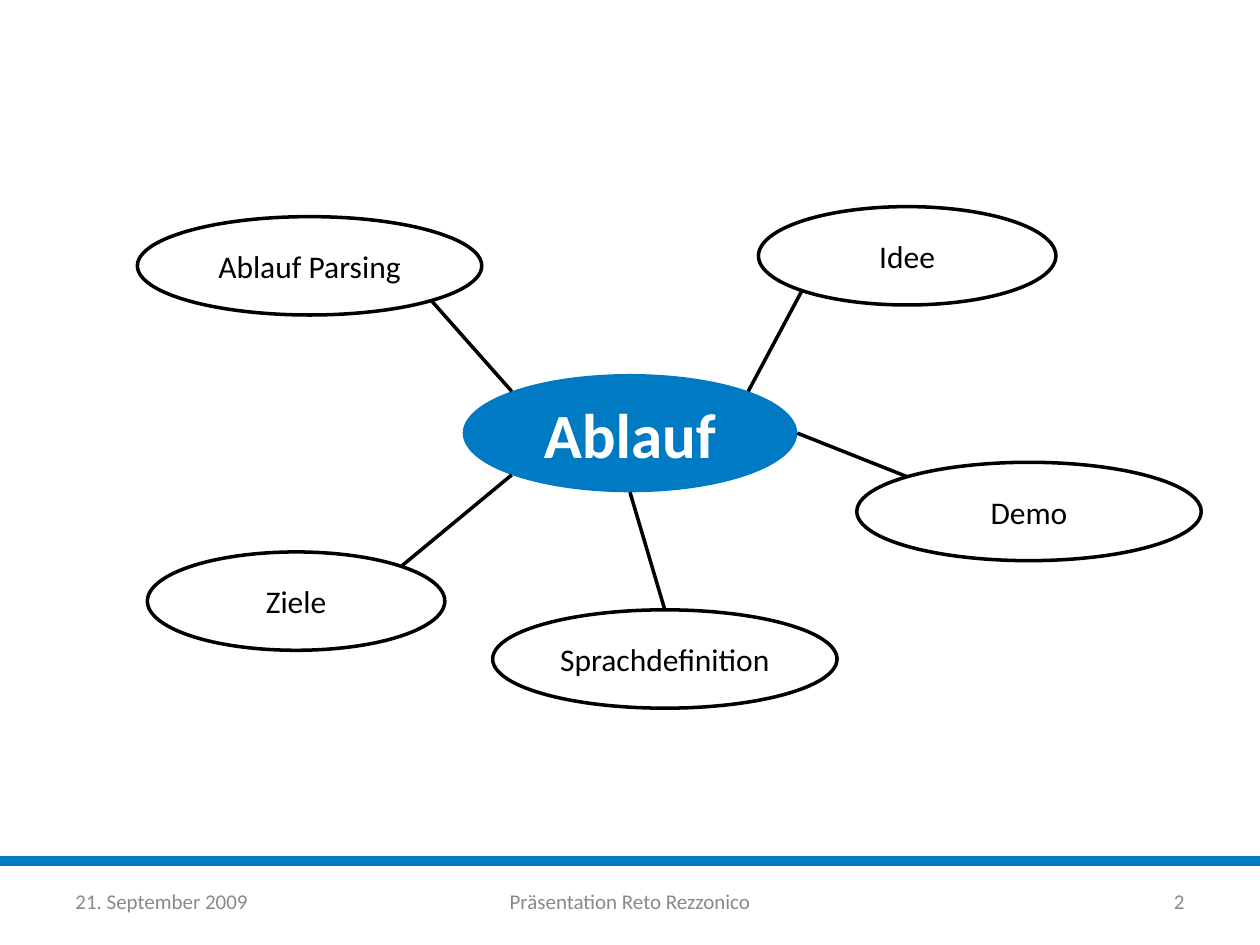
import math

import pptx
import pptx.dml.color
import pptx.enum.shapes
import pptx.enum.text
import pptx.oxml.ns
import pptx.util
from lxml import etree

Pt = pptx.util.Pt
ALIGN = pptx.enum.text.PP_ALIGN
SHAPES = pptx.enum.shapes.MSO_SHAPE

BLUE = "007AC3"
BLACK = "000000"
WHITE = "FFFFFF"
GRAY = "898989"

HUB = (264.4, 213.7, 191.2, 67.6)
NARROW = 170
WIDE = 196.8
TOPIC_HEIGHT = 56.2

TOPICS = [
    ("Idee", 433.4, 118.1, NARROW, (-1, 1), (1, -1)),
    ("Ziele", 84.2, 315.4, NARROW, (1, -1), (-1, 1)),
    ("Sprachdefinition", 281.5, 348.5, WIDE, (0, -1), (0, 1)),
    ("Ablauf Parsing", 78.5, 123.8, WIDE, (1, 1), (-1, -1)),
    ("Demo", 489.6, 264.2, WIDE, (-1, -1), (1, 0)),
]

FOOTERS = [
    ("21. September 2009", 36, 168, ALIGN.LEFT),
    ("2", 516, 168, ALIGN.RIGHT),
    ("Präsentation Reto Rezzonico", 246, 228, ALIGN.CENTER),
]


def color(value):
    return pptx.dml.color.RGBColor.from_string(value)


def write(shape, text, size=18, ink=BLACK, bold=False, align=ALIGN.CENTER):
    frame = shape.text_frame
    frame.word_wrap = True
    frame.vertical_anchor = pptx.enum.text.MSO_ANCHOR.MIDDLE
    para = frame.paragraphs[0]
    para.alignment = align
    span = para.add_run()
    span.text = text
    span.font.name = "Calibri"
    span.font.size = Pt(size)
    span.font.bold = bold
    span.font.color.rgb = color(ink)


def add_shape(shapes, kind, bounds, fill=None, outline=None):
    shape = shapes.add_shape(kind, *map(Pt, bounds))
    shape.shadow.inherit = False
    if fill:
        shape.fill.solid()
        shape.fill.fore_color.rgb = color(fill)
    else:
        shape.fill.background()
    if outline:
        shape.line.color.rgb = color(outline)
        shape.line.width = Pt(2)
    else:
        shape.line.fill.background()
    return shape


def ellipse_point(bounds, direction):
    left, top, width, height = bounds
    across, down = direction
    length = math.hypot(across, down)
    return (
        left + width / 2 * (1 + across / length),
        top + height / 2 * (1 + down / length),
    )


def add_line(shapes, start, end):
    line = shapes.add_connector(
        pptx.enum.shapes.MSO_CONNECTOR.STRAIGHT, *map(Pt, start + end)
    )
    line.line.color.rgb = color(BLACK)
    line.line.width = Pt(2)
    properties = line._element.spPr
    etree.SubElement(properties, pptx.oxml.ns.qn("a:effectLst"))


def add_topic(page, text, left, top, width, topic_side, hub_side):
    shapes = page.shapes.add_group_shape().shapes
    bounds = (left, top, width, TOPIC_HEIGHT)
    add_line(
        shapes, ellipse_point(bounds, topic_side), ellipse_point(HUB, hub_side)
    )
    write(add_shape(shapes, SHAPES.OVAL, bounds, outline=BLACK), text)


def add_footer(page, text, left, width, align):
    box = page.shapes.add_textbox(Pt(left), Pt(500.5), Pt(width), Pt(28.8))
    write(box, text, size=12, ink=GRAY, align=align)


def main():
    deck = pptx.Presentation()
    deck.slide_width = Pt(720)
    deck.slide_height = Pt(540)
    page = deck.slides.add_slide(deck.slide_layouts[6])

    add_shape(page.shapes, SHAPES.RECTANGLE, (0, 489.3, 720, 5.6), fill=BLUE)
    for footer in FOOTERS:
        add_footer(page, *footer)

    hub = add_shape(page.shapes, SHAPES.OVAL, HUB, fill=BLUE)
    write(hub, "Ablauf", size=36, ink=WHITE, bold=True)
    for topic in TOPICS:
        add_topic(page, *topic)

    deck.save("out.pptx")


if __name__ == "__main__":
    main()
